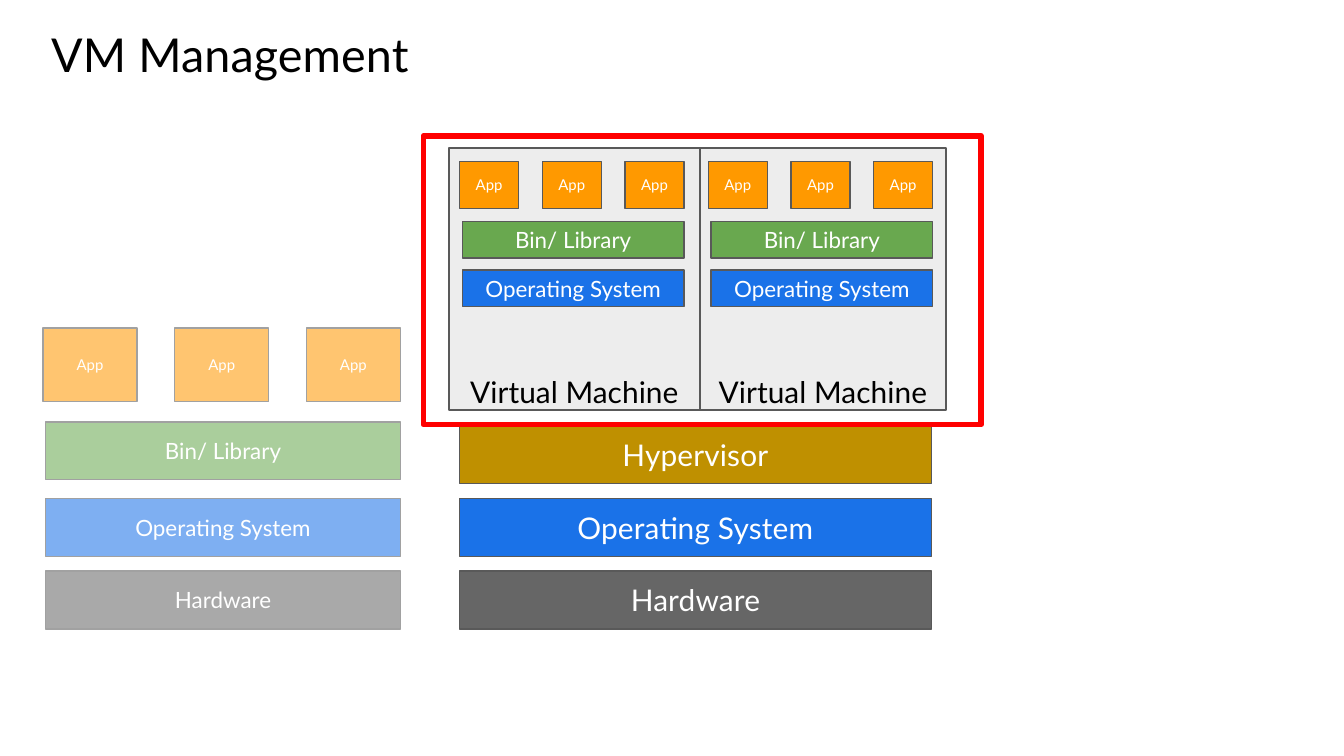
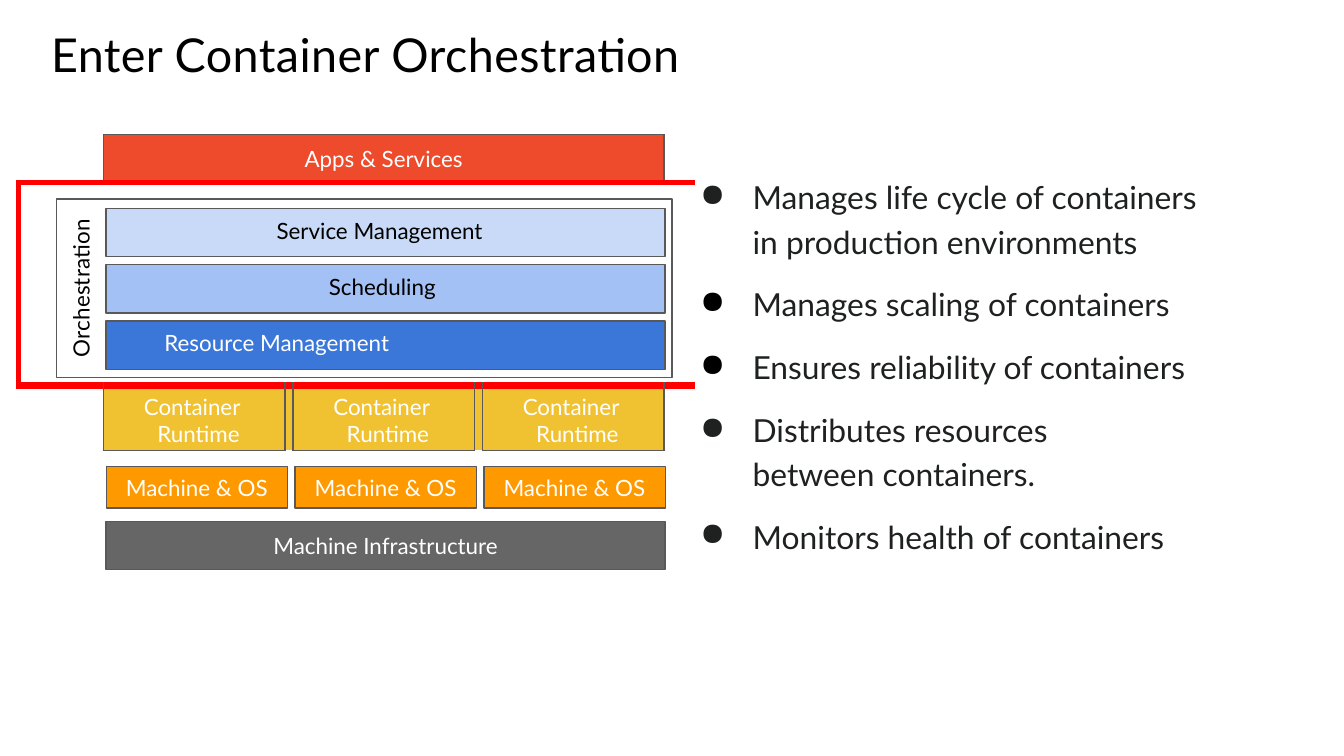
from dataclasses import dataclass

from lxml.etree import SubElement
from pptx import Presentation
from pptx.dml.color import RGBColor
from pptx.enum.shapes import MSO_SHAPE as Preset
from pptx.enum.text import MSO_ANCHOR as Anchor, MSO_AUTO_SIZE as AutoSize, PP_ALIGN as Align
from pptx.oxml.ns import qn
from pptx.util import Inches, Pt

FONT = "Lato"
WHITE, BLACK, INK = "FFFFFF", "000000", "1F2121"
OUTLINE, RED, PALE = "595959", "FF0000", "EDEDED"
ORANGE, GREEN, BLUE, GRAY = "FF9900", "69A84F", "1A72E8", "666666"
GOLD, YELLOW, TOMATO = "BF9000", "F0C131", "ED4B2B"
SKY_TINTS = ("C8DAF7", "A3C1F4", "3B77D8")
THIN, THICK, HEAVY = 0.75, 3, 4.25
TITLE_ONLY = 5
LIBRARY, SYSTEM, HARDWARE = "Bin/ Library", "Operating System", "Hardware"


def grid(units):
    """Length of grid units; the slide is 100 columns by 56.25 rows."""
    return Inches(units / 10)


@dataclass(frozen=True)
class Box:
    left: float
    top: float
    width: float
    height: float

    def inner(self, left, top, width, height):
        return Box(self.left + left, self.top + top, width, height)

    def columns(self, count, gap):
        width = (self.width - gap * (count - 1)) / count
        return [self.inner(i * (width + gap), 0, width, self.height) for i in range(count)]

    def rows(self, count, gap):
        height = (self.height - gap * (count - 1)) / count
        return [self.inner(0, i * (height + gap), self.width, height) for i in range(count)]

    def place(self):
        return [grid(side) for side in (self.left, self.top, self.width, self.height)]


def rgb(color):
    return RGBColor.from_string(color)


def write(paragraph, text, size=12, color=WHITE, align=Align.CENTER, spacing=0):
    run = paragraph.add_run()
    run.text = text
    run.font.name = FONT
    run.font.size = Pt(size)
    run.font.color.rgb = rgb(color)
    if spacing:
        run.font._element.set("spc", str(spacing))
    paragraph.alignment = align


def indent(paragraph, left=0, first=0, right=0):
    properties = paragraph._p.get_or_add_pPr()
    for name, units in (("marL", left), ("indent", first), ("marR", right)):
        properties.set(name, str(grid(units)))


def clear_margins(target, top=0):
    """Strip the insets of a text frame or a table cell, but for the top one."""
    target.margin_left = target.margin_right = target.margin_bottom = 0
    target.margin_top = grid(top)


def add_box(slide, box, fill=None, line=OUTLINE, width=THIN, text="", anchor=Anchor.MIDDLE, **text_format):
    shape = slide.shapes.add_shape(Preset.RECTANGLE, *box.place())
    shape.shadow.inherit = False
    if fill:
        shape.fill.solid()
        shape.fill.fore_color.rgb = rgb(fill)
    else:
        shape.fill.background()
    if line:
        shape.line.color.rgb = rgb(line)
        shape.line.width = Pt(width)
    else:
        shape.line.fill.background()
    if text:
        frame = shape.text_frame
        clear_margins(frame)
        frame.word_wrap = True
        frame.vertical_anchor = anchor
        write(frame.paragraphs[0], text, **text_format)
    return shape


def add_text_frame(slide, box, top=0):
    frame = slide.shapes.add_textbox(*box.place()).text_frame
    clear_margins(frame, top)
    frame.word_wrap = True
    return frame


def add_titled_slide(presentation, title, width, spacing):
    slide = presentation.slides.add_slide(presentation.slide_layouts[TITLE_ONLY])
    shape = slide.shapes.title
    shape.left, shape.top, shape.width, shape.height = Box(3.8, 1.7, width, 4.5).place()
    frame = shape.text_frame
    clear_margins(frame, 0.2)
    frame.auto_size = AutoSize.NONE
    frame.word_wrap = False
    frame.vertical_anchor = Anchor.TOP
    write(frame.paragraphs[0], title, size=25, color=BLACK, align=Align.LEFT, spacing=spacing)
    return slide


def add_apps(slide, box, gap):
    for app in box.columns(3, gap):
        add_box(slide, app, ORANGE, text="App", size=8)


def add_faded_stack(slide, box):
    add_apps(slide, box.inner(0, 0, 26.6, 5.5), 2.8)
    for top, fill, text in ((7, GREEN, LIBRARY), (12.7, BLUE, SYSTEM), (18.1, GRAY, HARDWARE)):
        add_box(slide, box.inner(0.2, top, 26.4, 4.3), fill, text=text)
    veil = add_box(slide, box.inner(-2.8, -4.1, box.width, box.height), WHITE, line=None)
    color = veil.fill._xPr.find(qn("a:solidFill"))[0]
    SubElement(color, qn("a:alpha"), val="44000")


def add_virtual_machine(slide, box, inset):
    add_box(slide, box, PALE, text="Virtual Machine", size=16, color=BLACK, anchor=Anchor.BOTTOM, spacing=5)
    add_apps(slide, box.inner(inset, 1, 16.7, 3.5), 1.75)
    for top, fill, text in ((5.5, GREEN, LIBRARY), (9.1, BLUE, SYSTEM)):
        add_box(slide, box.inner(inset + 0.2, top, 16.5, 2.7), fill, text=text)


def add_host(slide, box):
    layers = ((0, GOLD, "Hypervisor"), (5.4, BLUE, SYSTEM), (10.8, GRAY, HARDWARE))
    for top, fill, text in layers:
        add_box(slide, box.inner(0, top, box.width, 4.3), fill, text=text, size=16, spacing=10)


def build_vm_slide(presentation):
    slide = add_titled_slide(presentation, "VM Management", 26.9, 10)
    add_virtual_machine(slide, Box(52.1, 11, 18.3, 19.5), 0.6)
    add_virtual_machine(slide, Box(33.4, 11, 18.7, 19.5), 0.8)
    add_faded_stack(slide, Box(3.2, 24.4, 30.3, 27.6))
    add_host(slide, Box(34.2, 31.7, 35.1, 15.1))
    add_box(slide, Box(31.5, 10.1, 41.5, 21.5), line=RED, width=THICK)


def add_benefits(slide, box):
    """Bulleted list; each entry has its text, bullet colour, line spacing, space before and right indent."""
    benefits = (
        ("Manages life cycle of containers in production environments", INK, 1.16, 0, 1),
        ("Manages scaling of containers", BLACK, 1, 13.3, 0),
        ("Ensures reliability of containers", BLACK, 1, 13.3, 0),
        ("Distributes resources between containers.", INK, 1.14, 10.5, 8),
        ("Monitors health of containers", INK, 1, 13.3, 0),
    )
    frame = add_text_frame(slide, box, 0.2)
    for number, (text, bullet_color, line_spacing, before, right) in enumerate(benefits):
        paragraph = frame.add_paragraph() if number else frame.paragraphs[0]
        indent(paragraph, 4.1, -3.9, right)
        properties = paragraph._p.get_or_add_pPr()
        SubElement(SubElement(properties, qn("a:buClr")), qn("a:srgbClr"), val=bullet_color)
        SubElement(properties, qn("a:buChar"), char="●")
        paragraph.line_spacing = line_spacing
        paragraph.space_before = Pt(before)
        write(paragraph, text, size=17, color=INK, align=Align.LEFT)


def style_cell(cell, fill=None, left=None, right=None, top=None, bottom=None):
    """Set fill and borders; a border is a (colour, width) pair or None."""
    clear_margins(cell)
    properties = cell._tc.get_or_add_tcPr()
    for side, border in (("L", left), ("R", right), ("T", top), ("B", bottom)):
        color, width = border or (None, 0)
        line = SubElement(properties, qn(f"a:ln{side}"), w=str(Pt(width)))
        if color:
            SubElement(SubElement(line, qn("a:solidFill")), qn("a:srgbClr"), val=color)
        else:
            SubElement(line, qn("a:noFill"))
    if fill:
        cell.fill.solid()
        cell.fill.fore_color.rgb = rgb(fill)
    else:
        cell.fill.background()


def write_orchestration_cell(cell):
    cell.margin_top = grid(2.6)
    layers = (
        ("Service Management", BLACK, 3.4, 0),
        ("Scheduling", BLACK, 3.8, 0),
        ("Resource Management", WHITE, 0, 11.9),
    )
    frame = cell.text_frame
    for number, (text, color, left, right) in enumerate(layers):
        paragraph = frame.add_paragraph() if number else frame.paragraphs[0]
        indent(paragraph, left, 0, right)
        paragraph.line_spacing = Pt(14.4)
        paragraph.space_before = Pt(15.4 if number else 0)
        write(paragraph, text, color=color)


def write_runtime_cell(cell):
    cell.margin_top = grid(0.6)
    paragraph = cell.text_frame.paragraphs[0]
    indent(paragraph, 4, -1)
    paragraph.line_spacing = Pt(14.2)
    write(paragraph, "Container Runtime", align=Align.LEFT)


def add_platform_table(slide, box):
    widths = (6.3, 13.5, 0.6, 13.5, 0.6, 13.5, 2.3)
    heights = (3.6, 15.1, 4.8)
    last = len(widths) - 1
    table = slide.shapes.add_table(len(heights), len(widths), *box.place()).table
    table.first_row = table.horz_banding = False
    for column, width in zip(table.columns, widths):
        column.width = grid(width)
    for row, height in zip(table.rows, heights):
        row.height = grid(height)
    table.cell(0, 1).merge(table.cell(0, last - 1))
    table.cell(1, 0).merge(table.cell(1, last))

    edge, upper, lower = (OUTLINE, THIN), (RED, THICK), (RED, HEAVY)
    for column in range(len(widths)):
        inside = 0 < column < last
        style_cell(table.cell(0, column), TOMATO if inside else None,
                   left=edge if column in (1, last) else None,
                   right=edge if column in (0, last - 1) else None,
                   top=edge if inside else None, bottom=upper)
        style_cell(table.cell(1, column), left=upper if column == 0 else None,
                   right=upper if column == last else None, top=upper, bottom=lower)
        style_cell(table.cell(2, column), YELLOW if inside else None,
                   left=edge if column else None, right=edge if column < last else None,
                   top=lower, bottom=edge if column % 2 else None)

    services = table.cell(0, 1)
    services.vertical_anchor = Anchor.MIDDLE
    write(services.text_frame.paragraphs[0], "Apps & Services")
    write_orchestration_cell(table.cell(1, 0))
    for column in (1, 3, 5):
        write_runtime_cell(table.cell(2, column))


def add_orchestration_label(slide, box):
    frame = add_text_frame(slide, box)
    frame._bodyPr.set("vert", "vert270")
    write(frame.paragraphs[0], "Orchestration", color=BLACK, align=Align.LEFT, spacing=10)


def add_platform(slide, box):
    add_box(slide, box.inner(2.8, 4.8, 45.8, 13.3))
    for layer, tint in zip(box.inner(6.5, 5.5, 41.6, 12).rows(3, 0.6), SKY_TINTS):
        add_box(slide, layer, tint)
    add_box(slide, box.inner(6.5, 28.8, 41.6, 3.6), GRAY, text="Machine Infrastructure")
    for machine in box.inner(6.5, 24.7, 41.6, 3.1).columns(3, 0.55):
        add_box(slide, machine, ORANGE, text="Machine & OS")
    add_platform_table(slide, box.inner(0, 0, 50.3, 23.5))
    add_orchestration_label(slide, box.inner(3.6, 6, 2.3, 10.6))


def build_orchestration_slide(presentation):
    slide = add_titled_slide(presentation, "Enter Container Orchestration", 47.3, 25)
    add_benefits(slide, Box(51.9, 12.6, 39.3, 28.9))
    add_platform(slide, Box(1.4, 10, 50.3, 32.4))


def main():
    presentation = Presentation()
    presentation.slide_width, presentation.slide_height = grid(100), grid(56.25)
    build_vm_slide(presentation)
    build_orchestration_slide(presentation)
    presentation.save("out.pptx")


if __name__ == "__main__":
    main()
